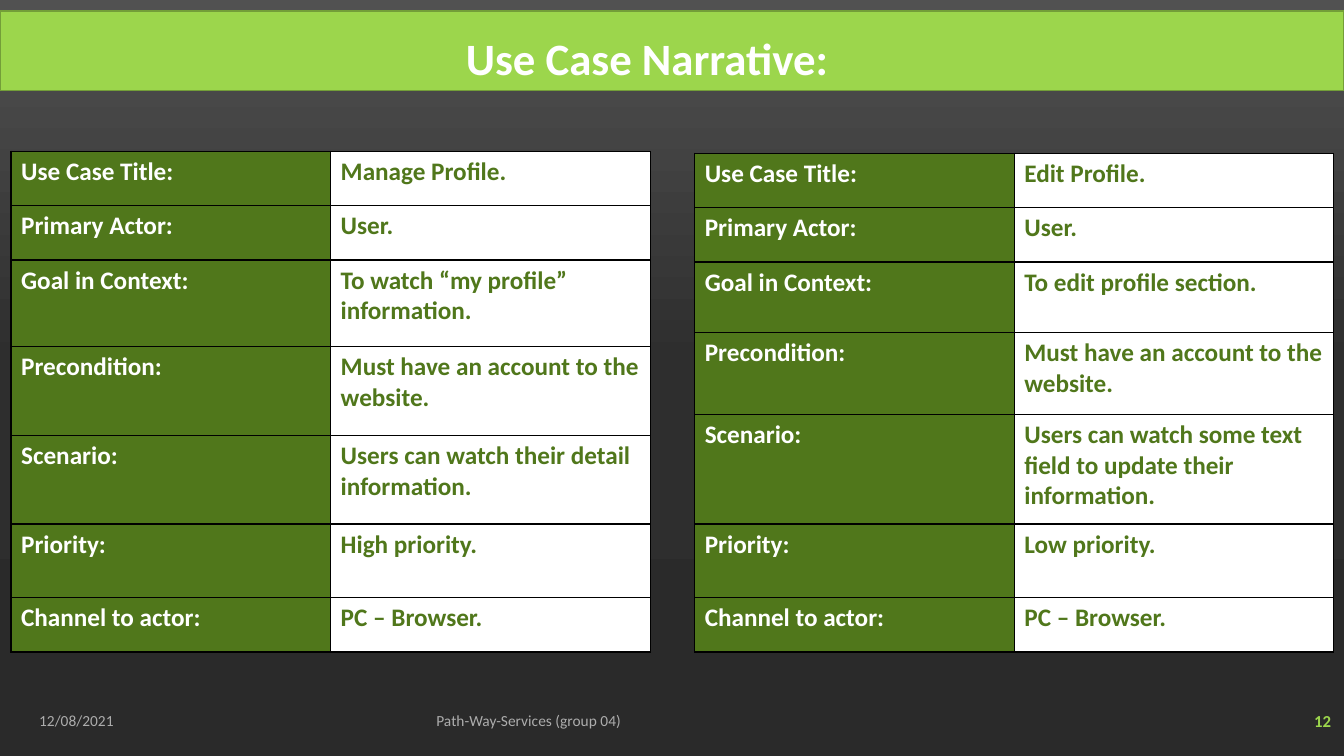
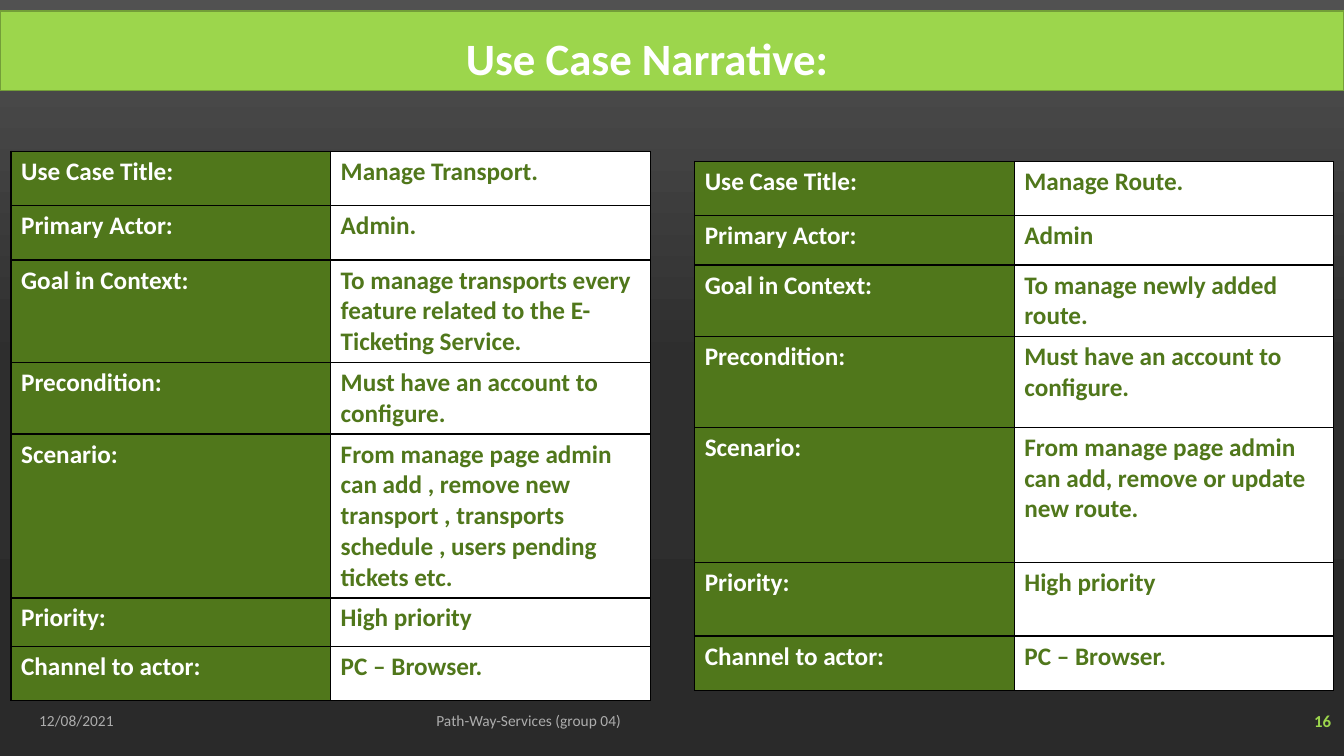
from dataclasses import dataclass

from pptx import Presentation
from pptx import util as u
from pptx.dml.color import RGBColor
from pptx.enum import shapes, text
from pptx.oxml import parse_xml
from pptx.oxml.ns import nsdecls


@dataclass(frozen=True)
class Theme:
    font: str = "Calibri"
    lime: str = "9CD64C"
    edge: str = "739E38"
    green: str = "50771B"
    white: str = "FFFFFF"
    black: str = "000000"
    grey: str = "ADADAD"
    back: tuple = ((0, "515151"), (48, "2E2E2E"), (100, "2A2A2A"))
    head: int = 32
    body: int = 18
    page: int = 12
    foot: int = 11


THEME = Theme()
LABELS = ("Use Case Title:", "Primary Actor:", "Goal in Context:",
          "Precondition:", "Scenario:", "Priority:", "Channel to actor:")
LEFT, RIGHT = 0.11, 6.89
COL = 3.17

# Each slide: page number, then its tables as (left, top, row heights, values)
SLIDES = (
    ("12", (
        (LEFT, 1.5, (0.54, 0.54, 0.86, 0.88, 0.88, 0.73, 0.54),
         ("Manage Profile.", "User.", "To watch “my profile” information.",
          "Must have an account to the website.",
          "Users can watch their detail information.",
          "High priority.", "PC – Browser.")),
        (RIGHT, 1.52, (0.54, 0.54, 0.7, 0.81, 1.09, 0.73, 0.54),
         ("Edit Profile.", "User.", "To edit profile section.",
          "Must have an account to the website.",
          "Users can watch some text field to update their information.",
          "Low priority.", "PC – Browser.")),
    )),
    ("16", (
        (LEFT, 1.5, (0.54, 0.54, 0.86, 0.71, 0.88, 0.48, 0.54),
         ("Manage Transport.", "Admin.",
          "To manage transports every feature related to the "
          "E-Ticketing Service.",
          "Must have an account to configure.",
          "From manage page admin can add , remove new transport , "
          "transports schedule , users pending tickets etc.",
          "High priority", "PC – Browser.")),
        (RIGHT, 1.6, (0.54, 0.49, 0.7, 0.9, 1.34, 0.73, 0.54),
         ("Manage Route.", "Admin", "To manage newly added route.",
          "Must have an account to configure.",
          "From manage page admin can add, remove or update new route.",
          "High priority", "PC – Browser.")),
    )),
)


def rgb(code):
    return RGBColor.from_string(code)


def box(*sizes):
    return [u.Inches(size) for size in sizes]


def write(frame, words, size, color, bold=False, align=text.PP_ALIGN.LEFT):
    frame.text = words
    frame.word_wrap = True
    for para in frame.paragraphs:
        para.alignment = align
        for run in para.runs:
            font = run.font
            font.name, font.size, font.bold = THEME.font, u.Pt(size), bold
            font.color.rgb = rgb(color)


# Shared background, set on the master
def set_back(master):
    fill = master.background.fill
    fill.gradient()
    fill.gradient_angle = 270
    stops = master.element.find(".//{*}bgPr/{*}gradFill/{*}gsLst")
    for stop in list(stops):
        stops.remove(stop)
    for place, code in THEME.back:
        stops.append(parse_xml(
            f'<a:gs {nsdecls("a")} pos="{place * 1000}">'
            f'<a:srgbClr val="{code}"/></a:gs>'))


# Title on its green band
def add_head(slide, words):
    band = slide.shapes.add_shape(shapes.MSO_SHAPE.RECTANGLE,
                                  *box(0, 0.11, 13.33, 0.79))
    band.shadow.inherit = False
    band.fill.solid()
    band.fill.fore_color.rgb = rgb(THEME.lime)
    band.line.color.rgb = rgb(THEME.edge)
    band.line.width = u.Pt(1)
    title = slide.shapes.title
    band.element.addnext(title.element)
    title.left, title.top, title.width, title.height = box(
        4.52, 0.25, 4.73, 0.64)
    frame = title.text_frame
    write(frame, words, THEME.head, THEME.white, bold=True)
    frame.auto_size = text.MSO_AUTO_SIZE.NONE
    frame.vertical_anchor = text.MSO_ANCHOR.TOP


def add_edges(cell):
    props = cell._tc.get_or_add_tcPr()
    for side in ("lnL", "lnR", "lnT", "lnB"):
        props.append(parse_xml(
            f'<a:{side} {nsdecls("a")} w="{u.Pt(1)}"><a:solidFill>'
            f'<a:srgbClr val="{THEME.black}"/></a:solidFill></a:{side}>'))


def fill_cell(cell, words, color, ground):
    write(cell.text_frame, words, THEME.body, color, bold=True)
    add_edges(cell)
    cell.fill.solid()
    cell.fill.fore_color.rgb = rgb(ground)


# Use case table: labels on green, values on white
def add_case(slide, left, top, heights, values):
    frame = slide.shapes.add_table(
        len(LABELS), 2, *box(left, top, 2 * COL, sum(heights)))
    table = frame.table
    table.first_row = table.horz_banding = False
    for col in table.columns:
        col.width = u.Inches(COL)
    for row, high, label, value in zip(table.rows, heights, LABELS, values):
        row.height = u.Inches(high)
        fill_cell(row.cells[0], label, THEME.white, THEME.green)
        fill_cell(row.cells[1], value, THEME.green, THEME.white)


# Footer: date, group and page number
def add_note(slide, left, width, words, *style, **more):
    note = slide.shapes.add_textbox(*box(left, 6.95, width, 0.4))
    write(note.text_frame, words, *style, **more)
    note.text_frame.vertical_anchor = text.MSO_ANCHOR.MIDDLE


def add_foot(slide, page):
    add_note(slide, 0.29, 3, "12/08/2021", THEME.foot, THEME.grey)
    add_note(slide, 4.23, 6.46, "Path-Way-Services (group 04)",
             THEME.foot, THEME.grey)
    add_note(slide, 11.63, 1.67, page, THEME.page, THEME.lime,
             bold=True, align=text.PP_ALIGN.RIGHT)


def main():
    deck = Presentation()
    deck.slide_width, deck.slide_height = box(13.33, 7.5)
    set_back(deck.slide_master)
    for page, cases in SLIDES:
        slide = deck.slides.add_slide(deck.slide_layouts[5])
        add_head(slide, "Use Case Narrative:")
        for case in cases:
            add_case(slide, *case)
        add_foot(slide, page)
    deck.save("out.pptx")


main()
